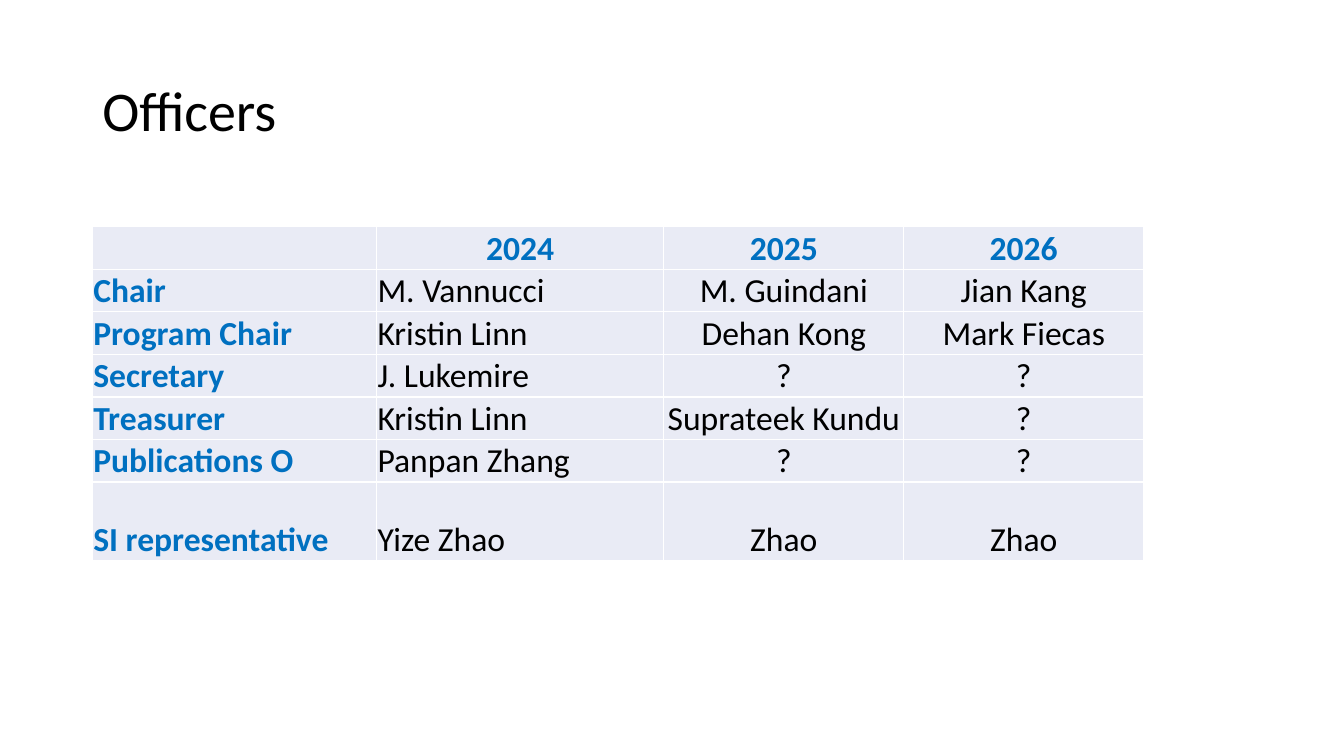
from lxml.etree import SubElement as Sub
from pptx import Presentation
from pptx.dml.color import RGBColor
from pptx.enum.text import MSO_ANCHOR as Anchor, PP_ALIGN as Align
from pptx.oxml.ns import qn
from pptx.util import Pt

BLUE, BLACK, WHITE, PALE = "0070C0", "000000", "FFFFFF", "E9EBF5"
ROWS = [
    ["", "2024", "2025", "2026"],
    ["Chair", "M. Vannucci", "M. Guindani", "Jian Kang"],
    ["Program Chair", "Kristin Linn", "Dehan Kong", "Mark Fiecas"],
    ["Secretary", "J. Lukemire", "?", "?"],
    ["Treasurer", "Kristin Linn", "Suprateek Kundu", "?"],
    ["Publications O", "Panpan Zhang", "?", "?"],
    ["SI representative", "Yize Zhao", "Zhao", "Zhao"],
]
WIDTHS = [203, 205.2, 171.4, 171.4]
HEIGHTS = [30.4] * 6 + [56.2]


def color(code):
    """Turn a hex string into a colour."""
    return RGBColor.from_string(code)


def write(para, text, size, code, bold=False):
    """Put text in a paragraph and set its font."""
    para.text = text
    font = para.font
    font.name, font.size, font.bold = "Calibri", Pt(size), bold
    font.color.rgb = color(code)


def border(cell, code):
    """Draw a one-point line on all sides of a cell."""
    props = cell._tc.get_or_add_tcPr()
    for side in ("lnL", "lnR", "lnT", "lnB"):
        line = Sub(props, qn(f"a:{side}"), w=str(Pt(1)))
        Sub(Sub(line, qn("a:solidFill")), qn("a:srgbClr"), val=code)


def title(slide, text, left, top, width, height):
    """Place the slide title in its box."""
    frame = slide.shapes.add_textbox(Pt(left), Pt(top), Pt(width), Pt(height)).text_frame
    frame.word_wrap = True
    frame.vertical_anchor = Anchor.MIDDLE
    frame.paragraphs[0].line_spacing = 0.9
    write(frame.paragraphs[0], text, 40, BLACK)


def roster(slide, left, top):
    """Place the table of officers by year."""
    table = slide.shapes.add_table(len(ROWS), len(WIDTHS), Pt(left), Pt(top),
                                   Pt(sum(WIDTHS)), Pt(sum(HEIGHTS))).table
    for col, width in zip(table.columns, WIDTHS):
        col.width = Pt(width)
    for row, height in zip(table.rows, HEIGHTS):
        row.height = Pt(height)
    for r, names in enumerate(ROWS):
        for c, name in enumerate(names):
            cell = table.cell(r, c)
            border(cell, WHITE)
            cell.fill.solid()
            cell.fill.fore_color.rgb = color(PALE)
            if not name:
                continue
            cell.vertical_anchor = Anchor.BOTTOM
            cell.margin_left = cell.margin_right = cell.margin_top = Pt(0.7)
            cell.margin_bottom = 0
            head = r == 0 or c == 0
            para = cell.text_frame.paragraphs[0]
            para.alignment = Align.CENTER if r == 0 or c > 1 else Align.LEFT
            write(para, name, 24, BLUE if head else BLACK, head)


def main():
    """Build and save the slide."""
    deck = Presentation()
    deck.slide_width, deck.slide_height = Pt(960), Pt(540)
    slide = deck.slides.add_slide(deck.slide_layouts[6])
    title(slide, "Officers", 66, 28.75, 828, 104.4)
    roster(slide, 66, 162)
    deck.save("out.pptx")


if __name__ == "__main__":
    main()
